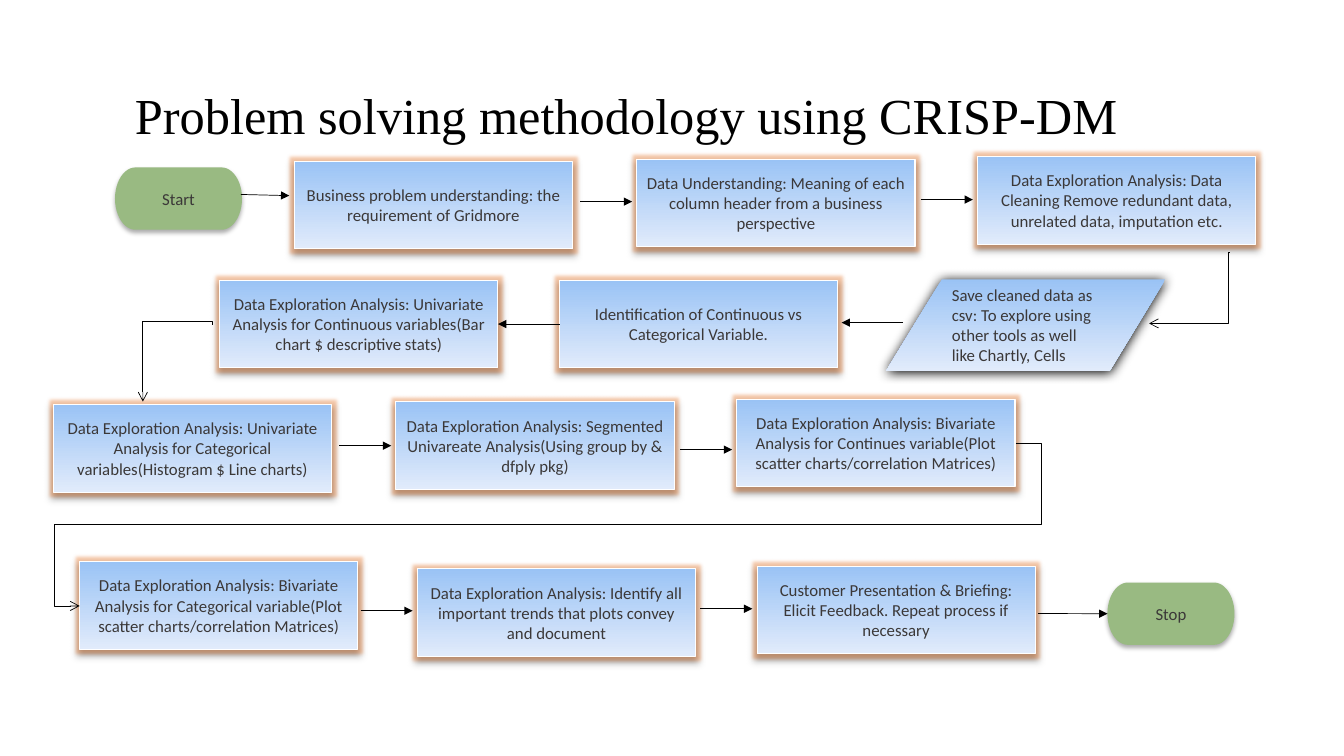
from lxml import etree
from pptx import Presentation
from pptx.dml.color import RGBColor
from pptx.enum.shapes import MSO_CONNECTOR, MSO_SHAPE
from pptx.enum.text import MSO_ANCHOR, PP_ALIGN
from pptx.oxml.ns import qn
from pptx.util import Cm, Pt

STRAIGHT, ELBOW = MSO_CONNECTOR.STRAIGHT, MSO_CONNECTOR.ELBOW
PROCESS = MSO_SHAPE.FLOWCHART_PROCESS
TERMINATOR = MSO_SHAPE.FLOWCHART_TERMINATOR
DATA = MSO_SHAPE.FLOWCHART_DATA
TOP, MIDDLE = MSO_ANCHOR.TOP, MSO_ANCHOR.MIDDLE
LEFT, CENTER = PP_ALIGN.LEFT, PP_ALIGN.CENTER
LEFT_SIDE, RIGHT_SIDE = 1, 3

COLORS = {
    "title": "000000", "text": "3B3838", "arrow": "000000", "shadow": "000000",
    "glow": "ED7D31", "terminal": "99BA82", "border": "FFFFFF",
    "gradient_top": "9AC3F5", "gradient_bottom": "E1EBFB",
}
TITLE = "Problem solving methodology using CRISP-DM"
STEP_SIZE = (7.01, 2.21)
TERMINAL_SIZE = (3.2, 1.57)
STEPS = {
    "business": (7.42, 4.06, "Business problem understanding: the requirement of Gridmore"),
    "data": (16.05, 4.01, "Data Understanding: Meaning of each column header from a business perspective"),
    "cleaning": (24.64, 3.94, "Data Exploration Analysis: Data Cleaning Remove redundant data, unrelated data, imputation etc."),
    "identification": (14.1, 7.06, "Identification of Continuous vs Categorical Variable."),
    "univariate": (5.54, 7.06, "Data Exploration Analysis: Univariate Analysis for Continuous variables(Bar chart $ descriptive stats)"),
    "categorical": (1.35, 10.19, "Data Exploration Analysis: Univariate Analysis for Categorical variables(Histogram $ Line charts)"),
    "segmented": (9.98, 10.13, "Data Exploration Analysis: Segmented Univareate Analysis(Using group by & dfply pkg)"),
    "bivariate": (18.57, 10.06, "Data Exploration Analysis: Bivariate Analysis for Continues variable(Plot scatter charts/correlation Matrices)"),
    "bivariate_categorical": (2.01, 14.15, "Data Exploration Analysis: Bivariate Analysis for Categorical variable(Plot scatter charts/correlation Matrices)"),
    "trends": (10.52, 14.33, "Data Exploration Analysis: Identify all important trends that plots convey and document"),
    "presentation": (19.08, 14.27, "Customer Presentation & Briefing: Elicit Feedback. Repeat process if necessary"),
}
SAVED_DATA = (22.33, 7.04, 7.04, 2.31,
              "Save cleaned data as csv: To explore using other tools as well like Chartly, Cells")
TERMINALS = {"Start": (2.9, 4.22), "Stop": (27.91, 14.68)}
ARROW_LENGTH, ARROW_GAP = 1.31, 0.12
ARROWS_INTO = {"data": 5.08, "cleaning": 5.03, "segmented": 11.23,
               "bivariate": 11.33, "trends": 15.39, "presentation": 15.34}
START_ARROW = (6.07, 4.9, 7.29, 4.93)
SAVED_ARROW = (22.76, 8.13, 21.21, 8.13)
STOP_ARROW = (26.16, 15.46, 27.91, 15.46)
ROW_TURNS = [
    ((30.99, 6.35, 28.96, 8.15), "bentConnector3", [0.018], 0),
    ((3.51, 8.28, 5.44, 10.03), "bentConnector3", [-0.047], 90),
    ((25.6, 11.18, 2.01, 15.27), "bentConnector5", [-0.027, 0.5, 1.027], 0),
]


def rgb(name):
    return RGBColor.from_string(COLORS[name])


def add_text(frame, text, size=12, font="Calibri", color="text", align=CENTER, anchor=MIDDLE):
    frame.word_wrap = True
    frame.vertical_anchor = anchor
    paragraph = frame.paragraphs[0]
    paragraph.alignment = align
    run = paragraph.add_run()
    run.text = text
    run.font.size, run.font.name = Pt(size), font
    run.font.color.rgb = rgb(color)
    return paragraph


def add_effect(shape, tag, color, alpha, **lengths):
    effects = shape._element.spPr.find(qn("a:effectLst"))
    attributes = {key: str(int(Pt(value))) for key, value in lengths.items()}
    if tag == "a:outerShdw":
        attributes.update(dir="5400000", rotWithShape="0")
    effect = etree.SubElement(effects, qn(tag), attributes)
    shade = etree.SubElement(effect, qn("a:srgbClr"), val=COLORS[color])
    etree.SubElement(shade, qn("a:alpha"), val=str(alpha * 1000))


def add_node(slide, kind, box, text, shadow, align=CENTER, anchor=MIDDLE):
    node = slide.shapes.add_shape(kind, *map(Cm, box))
    node.shadow.inherit = False
    if kind == TERMINATOR:
        node.fill.solid()
        node.fill.fore_color.rgb = rgb("terminal")
    else:
        node.fill.gradient()
        node.fill.gradient_angle = 270
        for stop, color in zip(node.fill.gradient_stops, ("gradient_top", "gradient_bottom")):
            stop.color.rgb = rgb(color)
    if kind == PROCESS:
        node.line.color.rgb = rgb("border")
        node.line.width = Pt(0.75)
        add_effect(node, "a:glow", "glow", 40, rad=5)
    else:
        node.line.fill.background()
    alpha, blur, distance = shadow
    add_effect(node, "a:outerShdw", "shadow", alpha, blurRad=blur, dist=distance)
    add_text(node.text_frame, text, align=align, anchor=anchor)
    return node


def add_arrow(slide, ends, kind=STRAIGHT, head="triangle"):
    arrow = slide.shapes.add_connector(kind, *map(Cm, ends))
    arrow.line.color.rgb = rgb("arrow")
    arrow.line.width = Pt(0.5)
    etree.SubElement(arrow.line._get_or_add_ln(), qn("a:tailEnd"), type=head)
    etree.SubElement(arrow._element.spPr, qn("a:effectLst"))
    return arrow


def add_turn(slide, ends, preset, bends, angle):
    turn = add_arrow(slide, ends, ELBOW, "arrow")
    properties = turn._element.spPr
    if angle:
        properties.find(qn("a:xfrm")).set("rot", str(angle * 60000))
    geometry = properties.find(qn("a:prstGeom"))
    geometry.set("prst", preset)
    guides = geometry.find(qn("a:avLst"))
    for number, bend in enumerate(bends, 1):
        etree.SubElement(guides, qn("a:gd"), name=f"adj{number}", fmla=f"val {round(bend * 100000)}")


def main():
    """Build the CRISP-DM methodology flowchart slide."""
    deck = Presentation()
    deck.slide_width, deck.slide_height = Cm(33.87), Cm(19.05)
    slide = deck.slides.add_slide(deck.slide_layouts[6])

    title = slide.shapes.add_textbox(Cm(3.15), Cm(1.78), Cm(25.88), Cm(2.39))
    add_text(title.text_frame, TITLE, 36, "Times New Roman", "title", LEFT).line_spacing = 0.9

    nodes = {name: add_node(slide, PROCESS, (left, top, *STEP_SIZE), text, (40, 4, 3))
             for name, (left, top, text) in STEPS.items()}
    for name, corner in TERMINALS.items():
        nodes[name] = add_node(slide, TERMINATOR, (*corner, *TERMINAL_SIZE), name, (32, 3.5, 2.2))
    *saved_box, saved_text = SAVED_DATA
    add_node(slide, DATA, saved_box, saved_text, (100, 8.5, 1), LEFT, TOP)

    for name, y in ARROWS_INTO.items():
        tip = STEPS[name][0] - ARROW_GAP
        add_arrow(slide, (tip - ARROW_LENGTH, y, tip, y))
    add_arrow(slide, START_ARROW)
    add_arrow(slide, SAVED_ARROW)
    add_arrow(slide, STOP_ARROW).end_connect(nodes["Stop"], LEFT_SIDE)
    to_univariate = add_arrow(slide, (14.1, 8.17, 12.55, 8.17))
    to_univariate.begin_connect(nodes["identification"], LEFT_SIDE)
    to_univariate.end_connect(nodes["univariate"], RIGHT_SIDE)
    for turn in ROW_TURNS:
        add_turn(slide, *turn)

    deck.save("out.pptx")


if __name__ == "__main__":
    main()
